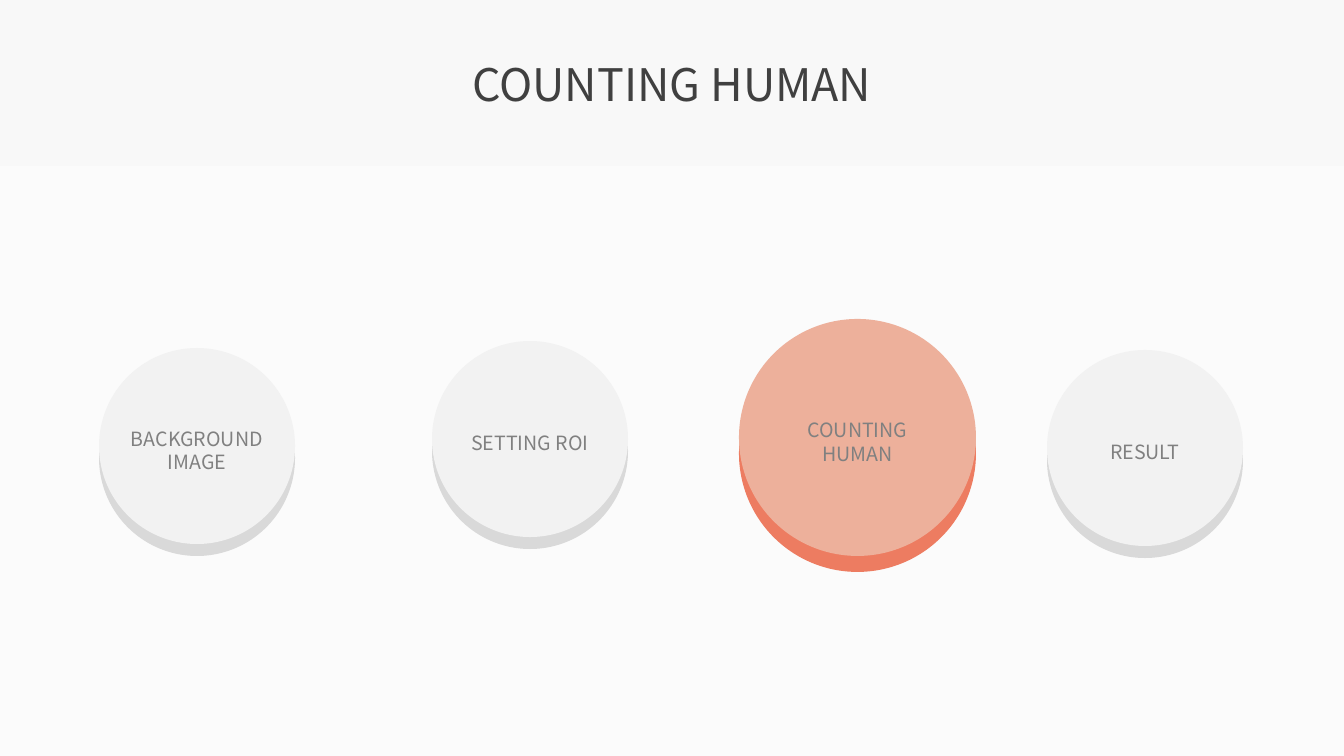
from dataclasses import dataclass

from lxml import etree
from pptx import Presentation
from pptx.dml.color import RGBColor
from pptx.enum.shapes import MSO_SHAPE
from pptx.enum.text import MSO_ANCHOR, MSO_AUTO_SIZE, PP_ALIGN
from pptx.oxml.ns import qn
from pptx.util import Pt

RECTANGLE, OVAL = MSO_SHAPE.RECTANGLE, MSO_SHAPE.OVAL
MIDDLE, CENTER = MSO_ANCHOR.MIDDLE, PP_ALIGN.CENTER
FIT_SHAPE = MSO_AUTO_SIZE.SHAPE_TO_FIT_TEXT
SLIDE_WIDTH, SLIDE_HEIGHT, HEADER_HEIGHT = 1344, 756, 166
LABEL_DROP = 4


@dataclass(frozen=True)
class Theme:
    """Colours, font and type sizes of the slide."""
    font: str = "Noto Sans CJK KR"
    title_size: int = 32
    label_size: int = 14
    title: str = "404040"
    label: str = "808080"
    header: str = "F2F2F2"
    body: str = "FFFFFF"
    idle: tuple = ("F2F2F2", "D9D9D9")
    active: tuple = ("EDB09B", "ED7C61")


THEME = Theme()

STEPS = [
    (["BACKGROUND", "IMAGE"], 99, 348, 196, 12, 168, THEME.idle),
    (["SETTING ROI"], 432, 341, 196, 12, 151, THEME.idle),
    (["COUNTING", "HUMAN"], 739, 319, 237, 16, 134, THEME.active),
    (["RESULT"], 1047, 350, 196, 12, 97, THEME.idle),
]


def px(length):
    """Turn pixels into EMU at 100.8 pixels to the inch."""
    return round(length * 914400 / 100.8)


def add_filled(shapes, preset, left, top, width, height, color):
    """Add a borderless filled shape and return it."""
    filled = shapes.add_shape(preset, px(left), px(top), px(width), px(height))
    filled.shadow.inherit = False
    filled.fill.solid()
    filled.fill.fore_color.rgb = RGBColor.from_string(color)
    filled.line.fill.background()
    return filled


def add_band(slide, top, color):
    """Add a half-transparent band from top down to the slide's foot."""
    band = add_filled(slide.shapes, RECTANGLE, 0, top, SLIDE_WIDTH, SLIDE_HEIGHT - top, color)
    tint = band.fill._xPr.find(qn("a:solidFill"))[0]
    etree.SubElement(tint, qn("a:alpha"), val="50000")


def add_text(shapes, lines, left, top, width, height, size, color):
    """Add centred text with line breaks and return its frame."""
    frame = shapes.add_textbox(px(left), px(top), px(width), px(height)).text_frame
    frame.vertical_anchor = MIDDLE
    paragraph = frame.paragraphs[0]
    paragraph.alignment = CENTER
    for index, line in enumerate(lines):
        if index:
            paragraph.add_line_break()
        run = paragraph.add_run()
        run.text = line
        run.font.name = THEME.font
        run.font.size = Pt(size)
        run.font.color.rgb = RGBColor.from_string(color)
    return frame


def add_step(slide, lines, left, top, diameter, depth, label_width, colors):
    """Add a raised disc with its label, grouped."""
    face, edge = colors
    disc = slide.shapes.add_group_shape().shapes
    add_filled(disc, OVAL, left, top + depth, diameter, diameter, edge)
    add_filled(disc, OVAL, left, top, diameter, diameter, face)
    label_height = 10 + 24 * len(lines)
    label_left = left + (diameter - label_width) / 2
    label_top = top + (diameter - label_height) / 2 + LABEL_DROP
    label = add_text(disc, lines, label_left, label_top, label_width, label_height,
                     THEME.label_size, THEME.label)
    label.word_wrap = False
    label.auto_size = FIT_SHAPE


def main():
    """Build the slide and save it."""
    deck = Presentation()
    deck.slide_width, deck.slide_height = px(SLIDE_WIDTH), px(SLIDE_HEIGHT)
    slide = deck.slides.add_slide(deck.slide_layouts[6])
    add_band(slide, 0, THEME.header)
    add_band(slide, HEADER_HEIGHT, THEME.body)
    title = add_text(slide.shapes, ["COUNTING HUMAN"], 193, 56, 958, 62,
                     THEME.title_size, THEME.title)
    title.word_wrap = True
    title.paragraphs[0].line_spacing = 0.9
    for step in STEPS:
        add_step(slide, *step)
    deck.save("out.pptx")


if __name__ == "__main__":
    main()
